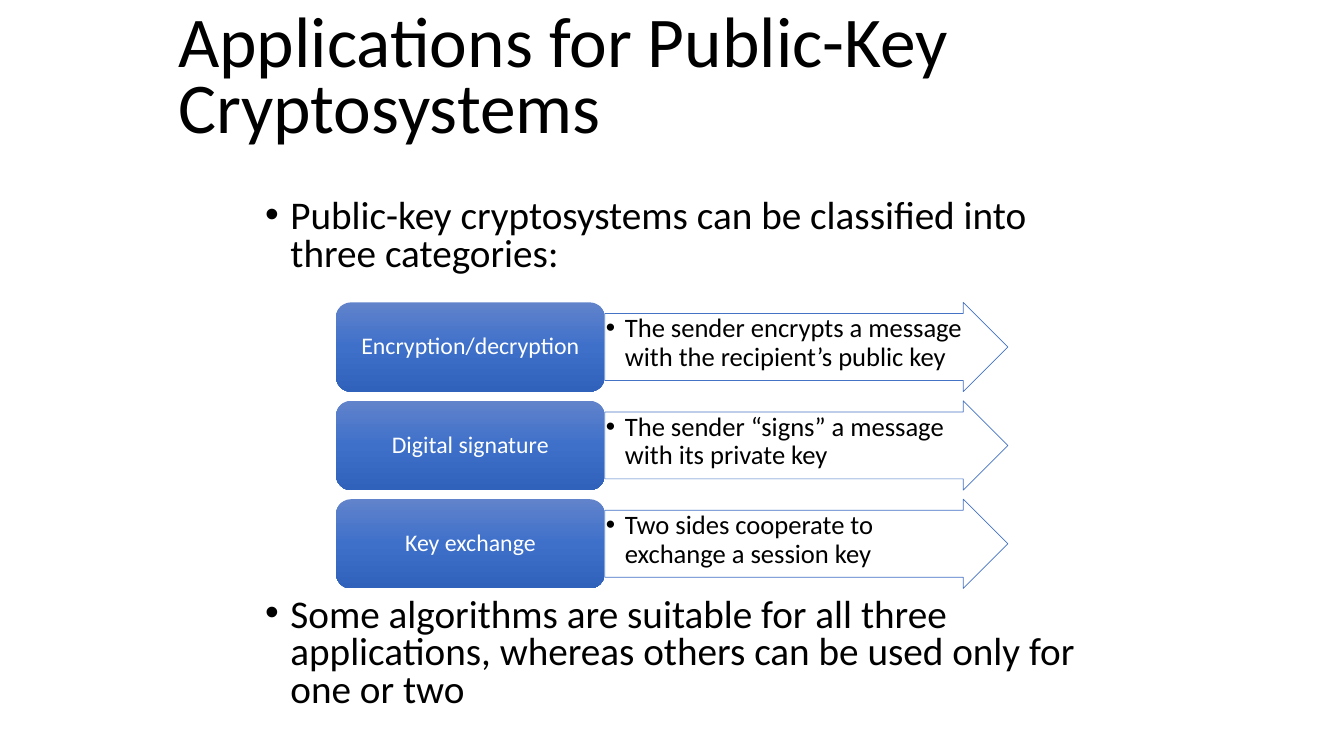
import copy

import pptx
import pptx.dml.color
import pptx.enum.shapes
import pptx.enum.text
import pptx.oxml
import pptx.oxml.ns
import pptx.util

Cm = pptx.util.Cm
Pt = pptx.util.Pt
MIDDLE = pptx.enum.text.MSO_ANCHOR.MIDDLE
SHAPES = pptx.enum.shapes.MSO_SHAPE


def color(hex_string):
    return pptx.dml.color.RGBColor.from_string(hex_string)


def write(shape, text, size, font_color, spacing, margins, bullet_indent=None):
    frame = shape.text_frame
    frame.word_wrap = True
    frame.margin_left, frame.margin_top, frame.margin_right, frame.margin_bottom = map(Cm, margins)
    frame.text = text
    paragraph = frame.paragraphs[0]
    paragraph.line_spacing = spacing
    font = paragraph.runs[0].font
    font.name = "Calibri"
    font.size = Pt(size)
    font.color.rgb = color(font_color)
    if bullet_indent:
        paragraph.alignment = pptx.enum.text.PP_ALIGN.LEFT
        properties = paragraph._p.get_or_add_pPr()
        properties.set("marL", str(Cm(bullet_indent)))
        properties.set("indent", str(-Cm(bullet_indent)))
        namespace = pptx.oxml.ns.nsdecls("a")
        properties.append(pptx.oxml.parse_xml(f'<a:buFont {namespace} typeface="Arial"/>'))
        properties.append(pptx.oxml.parse_xml(f'<a:buChar {namespace} char="•"/>'))
    return paragraph


presentation = pptx.Presentation()
presentation.slide_width = Cm(33.87)
presentation.slide_height = Cm(19.05)
slide = presentation.slides.add_slide(presentation.slide_layouts[6])
shapes = slide.shapes
box_margins = (0.25, 0.13, 0.25, 0.13)

title = shapes.add_textbox(Cm(4.24), Cm(0.1), Cm(25.4), Cm(3.94))
write(title, "Applications for Public-Key Cryptosystems", 51, "000000", Pt(47), box_margins)
title.text_frame.vertical_anchor = MIDDLE

statements = [
    (4.9, 2.4, "Public-key cryptosystems can be classified into three categories:"),
    (14.94, 3.4, "Some algorithms are suitable for all three applications, "
                 "whereas others can be used only for one or two"),
]
for top, height, text in statements:
    statement = shapes.add_textbox(Cm(6.43), Cm(top), Cm(21.03), Cm(height))
    paragraph = write(statement, text, 28, "000000", 0.8, box_margins, 0.64)
    paragraph.space_before = Pt(10)

categories = [
    ("Encryption/decryption", "The sender encrypts a message with the recipient’s public key"),
    ("Digital signature", "The sender “signs” a message with its private key"),
    ("Key exchange", "Two sides cooperate to exchange a session key"),
]
row_top, row_pitch, row_height = 7.62, 2.48, 2.25
name_left, name_width, arrow_width = 8.47, 6.77, 10.16
gradient_colors = ["6183CB", "3E70CA", "3062BB"]

for row, (name, description) in enumerate(categories):
    top = Cm(row_top + row * row_pitch)

    arrow = shapes.add_shape(SHAPES.RIGHT_ARROW, Cm(name_left + name_width), top,
                             Cm(arrow_width), Cm(row_height))
    arrow.adjustments[0] = 0.75
    arrow.adjustments[1] = 0.5
    arrow.shadow.inherit = False
    arrow.fill.solid()
    arrow.fill.fore_color.rgb = color("FFFFFF")
    arrow.line.color.rgb = color("4472C4")
    arrow.line.width = Pt(0.5)
    write(arrow, description, 19, "000000", 0.9, (0.03, 0.03, 0.3, 0.03), 0.48)
    arrow.text_frame.vertical_anchor = pptx.enum.text.MSO_ANCHOR.TOP

    label = shapes.add_shape(SHAPES.ROUNDED_RECTANGLE, Cm(name_left), top,
                             Cm(name_width), Cm(row_height))
    label.shadow.inherit = False
    label.line.fill.background()
    label.fill.gradient()
    label.fill.gradient_angle = 270
    first_stop = label.fill.gradient_stops[0]._gs
    first_stop.addnext(copy.deepcopy(first_stop))
    for index, stop in enumerate(label.fill.gradient_stops):
        stop.position = index / 2
        stop.color.rgb = color(gradient_colors[index])
    paragraph = write(label, name, 17, "FFFFFF", 0.9, (0.18, 0.1, 0.18, 0.1))
    paragraph.alignment = pptx.enum.text.PP_ALIGN.CENTER
    label.text_frame.vertical_anchor = MIDDLE

presentation.save("out.pptx")
